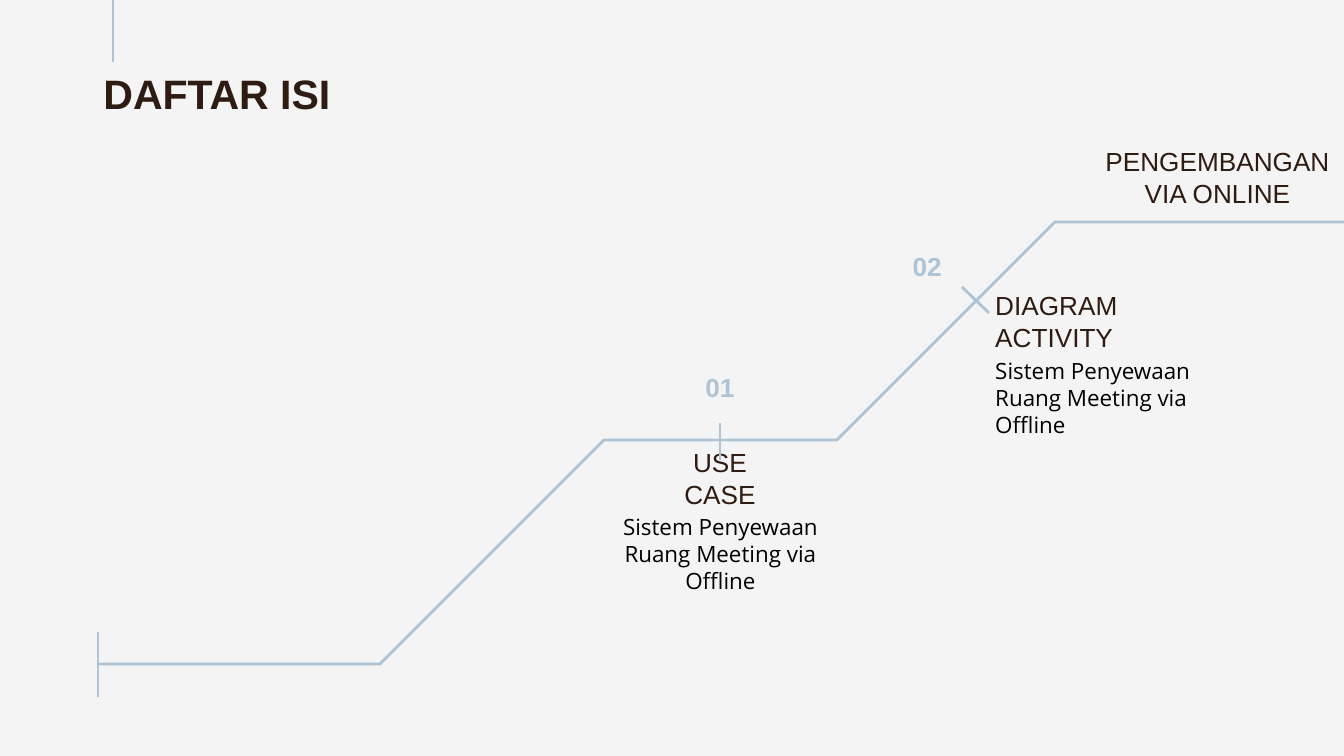
from lxml import etree
from pptx import Presentation
from pptx.dml.color import RGBColor
from pptx.enum.shapes import MSO_CONNECTOR
from pptx.enum.text import MSO_ANCHOR, MSO_AUTO_SIZE, PP_ALIGN
from pptx.oxml.ns import qn
from pptx.util import Emu, Inches, Pt

LEFT, CENTER, RIGHT = PP_ALIGN.LEFT, PP_ALIGN.CENTER, PP_ALIGN.RIGHT
TOP, MIDDLE, BOTTOM = MSO_ANCHOR.TOP, MSO_ANCHOR.MIDDLE, MSO_ANCHOR.BOTTOM
STRAIGHT = MSO_CONNECTOR.STRAIGHT
NO_AUTOFIT = MSO_AUTO_SIZE.NONE

SLIDE_WIDTH, SLIDE_HEIGHT = 1344, 756
EMU_PER_PX = Inches(10) / SLIDE_WIDTH
BACKGROUND, BROWN, BLUE, BLACK = "F4F4F4", "2E1B11", "AEC4D5", "000000"

# style: font, size, bold, colour, space after
STYLES = {
    "title": ("Arial", 22, True, BROWN, 0),
    "heading": ("Arial", 14, False, BROWN, 0),
    "number": ("Arial", 14, True, BLUE, 0),
    "description": ("Open Sans", 12, False, BLACK, 16),
}

TITLE = ("DAFTAR ISI", "title", (90, 55, 376, 138), LEFT, TOP)
DESCRIPTION = "Sistem Penyewaan Ruang Meeting via Offline"
LABELS = [
    ("USE CASE", "heading", (650, 461, 140, 62), CENTER, BOTTOM),
    ("PENGEMBANGAN VIA ONLINE", "heading", (1091, 140, 253, 74), CENTER, MIDDLE),
    ("01", "number", (650, 358, 140, 50), CENTER, TOP),
    (DESCRIPTION, "description", (601, 500, 239, 90), CENTER, TOP),
    ("02", "number", (757, 237, 198, 50), RIGHT, TOP),
    (DESCRIPTION, "description", (982, 344, 239, 90), LEFT, TOP),
    ("DIAGRAM ACTIVITY", "heading", (982, 304, 239, 62), LEFT, BOTTOM),
]
ROUTE = [(98, 664), (380, 664), (604, 440), (837, 440), (1055, 222), (1344, 222)]
TICKS = [
    (720, 423, 720, 460),
    (962, 287, 989, 313),
    (113, 0, 113, 62),
    (98, 632, 98, 697),
]


def px(value):
    return Emu(round(value * EMU_PER_PX))


def color(hex_string):
    return RGBColor.from_string(hex_string)


def write_text(shape, text, style, box, alignment, anchor):
    font_name, size, bold, font_color, space_after = STYLES[style]
    shape.left, shape.top, shape.width, shape.height = map(px, box)
    frame = shape.text_frame
    frame.text = text
    frame.word_wrap = True
    frame.auto_size = NO_AUTOFIT
    frame.vertical_anchor = anchor
    frame.margin_left = frame.margin_right = Inches(0.1)
    frame.margin_top = frame.margin_bottom = Inches(0.1)
    paragraph = frame.paragraphs[0]
    paragraph.alignment = alignment
    paragraph.space_after = Pt(space_after)
    font = paragraph.runs[0].font
    font.name, font.size, font.bold = font_name, Pt(size), bold
    font.color.rgb = color(font_color)


def style_line(shape):
    shape.line.color.rgb = color(BLUE)
    shape.line.width = Pt(1.5)


def add_route(slide):
    builder = slide.shapes.build_freeform(*ROUTE[0], scale=EMU_PER_PX)
    builder.add_line_segments(ROUTE[1:], close=False)
    route = builder.convert_to_shape()
    route.fill.background()
    route.shadow.inherit = False
    style_line(route)


def add_tick(slide, ends):
    tick = slide.shapes.add_connector(STRAIGHT, *map(px, ends))
    style_line(tick)
    etree.SubElement(tick._element.spPr, qn("a:effectLst"))


def main():
    presentation = Presentation()
    presentation.slide_width = px(SLIDE_WIDTH)
    presentation.slide_height = px(SLIDE_HEIGHT)
    slide = presentation.slides.add_slide(presentation.slide_layouts[5])
    slide.background.fill.solid()
    slide.background.fill.fore_color.rgb = color(BACKGROUND)

    write_text(slide.shapes.title, *TITLE)
    add_route(slide)
    for label in LABELS:
        write_text(slide.shapes.add_textbox(0, 0, 0, 0), *label)
    for ends in TICKS:
        add_tick(slide, ends)

    presentation.save("out.pptx")


if __name__ == "__main__":
    main()
